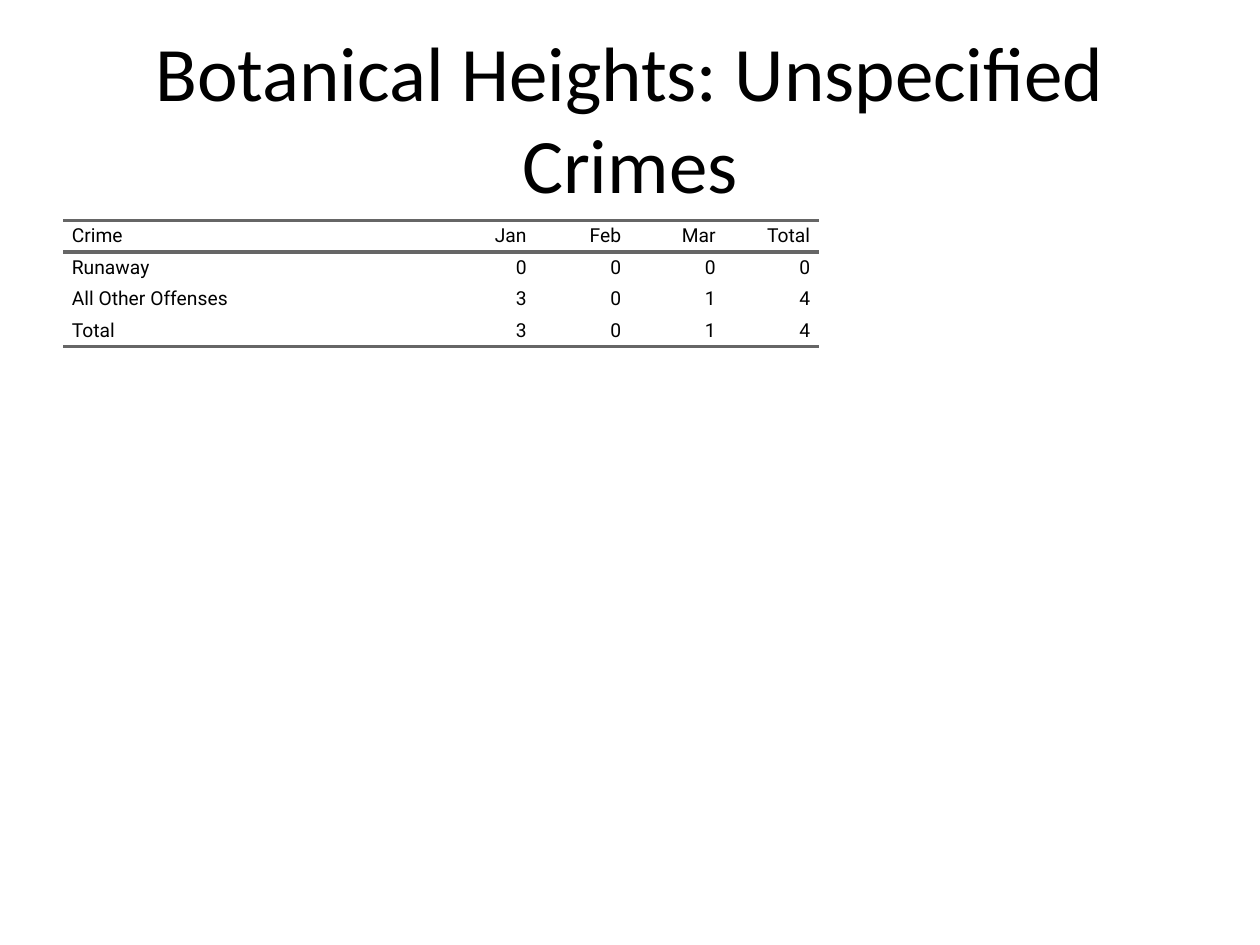
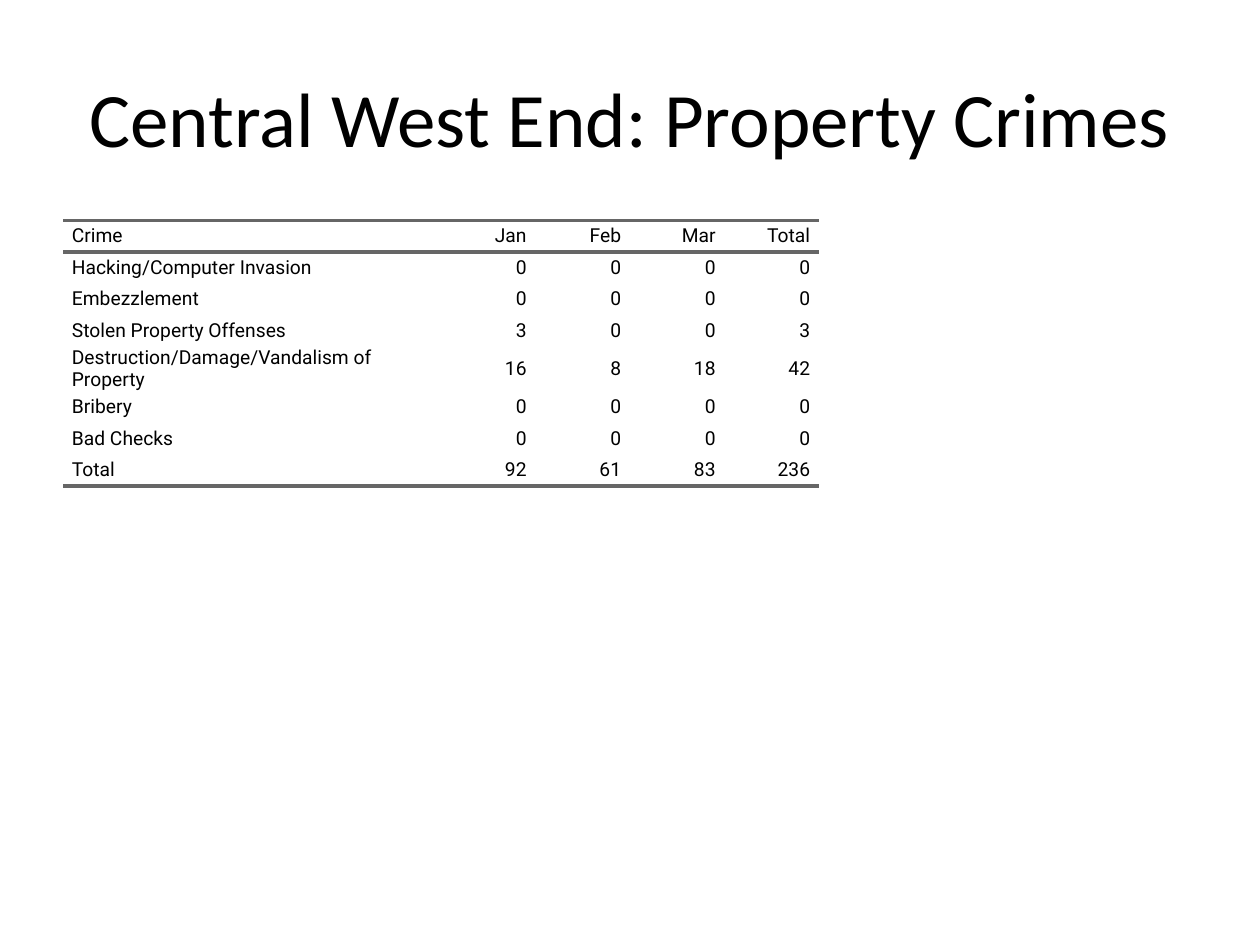
from lxml import etree
from pptx import Presentation
from pptx.dml.color import RGBColor
from pptx.enum.text import MSO_ANCHOR, MSO_AUTO_SIZE, PP_ALIGN
from pptx.oxml.ns import qn
from pptx.util import Inches, Pt

MIDDLE = MSO_ANCHOR.MIDDLE
NO_AUTOFIT = MSO_AUTO_SIZE.NONE
LEFT, CENTER, RIGHT = PP_ALIGN.LEFT, PP_ALIGN.CENTER, PP_ALIGN.RIGHT

COLORS = {"text": "000000", "rule": "666666"}
TITLE_FONT = {"name": "Calibri", "size": Pt(44)}
TABLE_FONT = {"name": "Roboto", "size": Pt(11)}
CELL_FRAME = {"margin_left": 0, "margin_right": 0, "margin_top": 0,
              "margin_bottom": 0, "vertical_anchor": MIDDLE}
PLAIN_TABLE_STYLE = "{2D5ABB26-0587-4C30-8999-92F81FD0307C}"
TITLE_LAYOUT = 5

MARGIN = Inches(0.5)
TITLE_TOP, TITLE_HEIGHT = Inches(0.3), Inches(1.25)
TABLE_TOP = Inches(1.75)
ROW_HEIGHT = Inches(0.25)
MONTH_WIDTH = Inches(0.75)
COLUMN_WIDTHS = [4 * MONTH_WIDTH] + [MONTH_WIDTH] * 4
CELL_INDENT = Inches(0.07)
RULE_WIDTH = Pt(2)

HEADER = ("Crime", "Jan", "Feb", "Mar", "Total")
CRIME_TABLES = {
    "Botanical Heights: Unspecified Crimes": [
        ("Runaway", 0, 0, 0, 0),
        ("All Other Offenses", 3, 0, 1, 4),
        ("Total", 3, 0, 1, 4),
    ],
    "Central West End: Property Crimes": [
        ("Hacking/Computer Invasion", 0, 0, 0, 0),
        ("Embezzlement", 0, 0, 0, 0),
        ("Stolen Property Offenses", 3, 0, 0, 3),
        ("Destruction/Damage/Vandalism of Property", 16, 8, 18, 42),
        ("Bribery", 0, 0, 0, 0),
        ("Bad Checks", 0, 0, 0, 0),
        ("Total", 92, 61, 83, 236),
    ],
}


def format_text(para, alignment, font_format):
    para.alignment = alignment
    for name, value in font_format.items():
        setattr(para.font, name, value)
    para.font.color.rgb = RGBColor.from_string(COLORS["text"])


def add_rule(cell, side):
    """Draw a cell border; side is the tag lnT (top) or lnB (bottom)."""
    properties = cell._tc.get_or_add_tcPr()
    line = etree.SubElement(properties, qn(f"a:{side}"), w=str(RULE_WIDTH))
    fill = etree.SubElement(line, qn("a:solidFill"))
    etree.SubElement(fill, qn("a:srgbClr"), val=COLORS["rule"])


deck = Presentation()
deck.slide_width, deck.slide_height = Inches(10), Inches(7.5)

for heading, crimes in CRIME_TABLES.items():
    slide = deck.slides.add_slide(deck.slide_layouts[TITLE_LAYOUT])

    title = slide.shapes.title
    title.left, title.top = MARGIN, TITLE_TOP
    title.width, title.height = deck.slide_width - 2 * MARGIN, TITLE_HEIGHT
    title.text_frame.text = heading
    title.text_frame.auto_size = NO_AUTOFIT
    title.text_frame.vertical_anchor = MIDDLE
    format_text(title.text_frame.paragraphs[0], CENTER, TITLE_FONT)

    rows = [HEADER, *crimes]
    table = slide.shapes.add_table(
        len(rows), len(HEADER), MARGIN, TABLE_TOP,
        sum(COLUMN_WIDTHS), ROW_HEIGHT * len(rows)).table
    table.first_row = table.horz_banding = False
    table._tbl.tblPr.find(qn("a:tableStyleId")).text = PLAIN_TABLE_STYLE
    for column, width in zip(table.columns, COLUMN_WIDTHS):
        column.width = width

    for row_number, row in enumerate(rows):
        for column_number, value in enumerate(row):
            cell = table.cell(row_number, column_number)
            for name, setting in CELL_FRAME.items():
                setattr(cell, name, setting)
            cell.text = str(value)
            para = cell.text_frame.paragraphs[0]
            format_text(para, RIGHT if column_number else LEFT, TABLE_FONT)
            para.space_after = Pt(5)
            for side in ("marL", "marR"):
                para._p.get_or_add_pPr().set(side, str(CELL_INDENT))
            if row_number == 0:
                add_rule(cell, "lnT")
            if row_number in (0, len(rows) - 1):
                add_rule(cell, "lnB")
            cell.fill.background()

deck.save("out.pptx")
